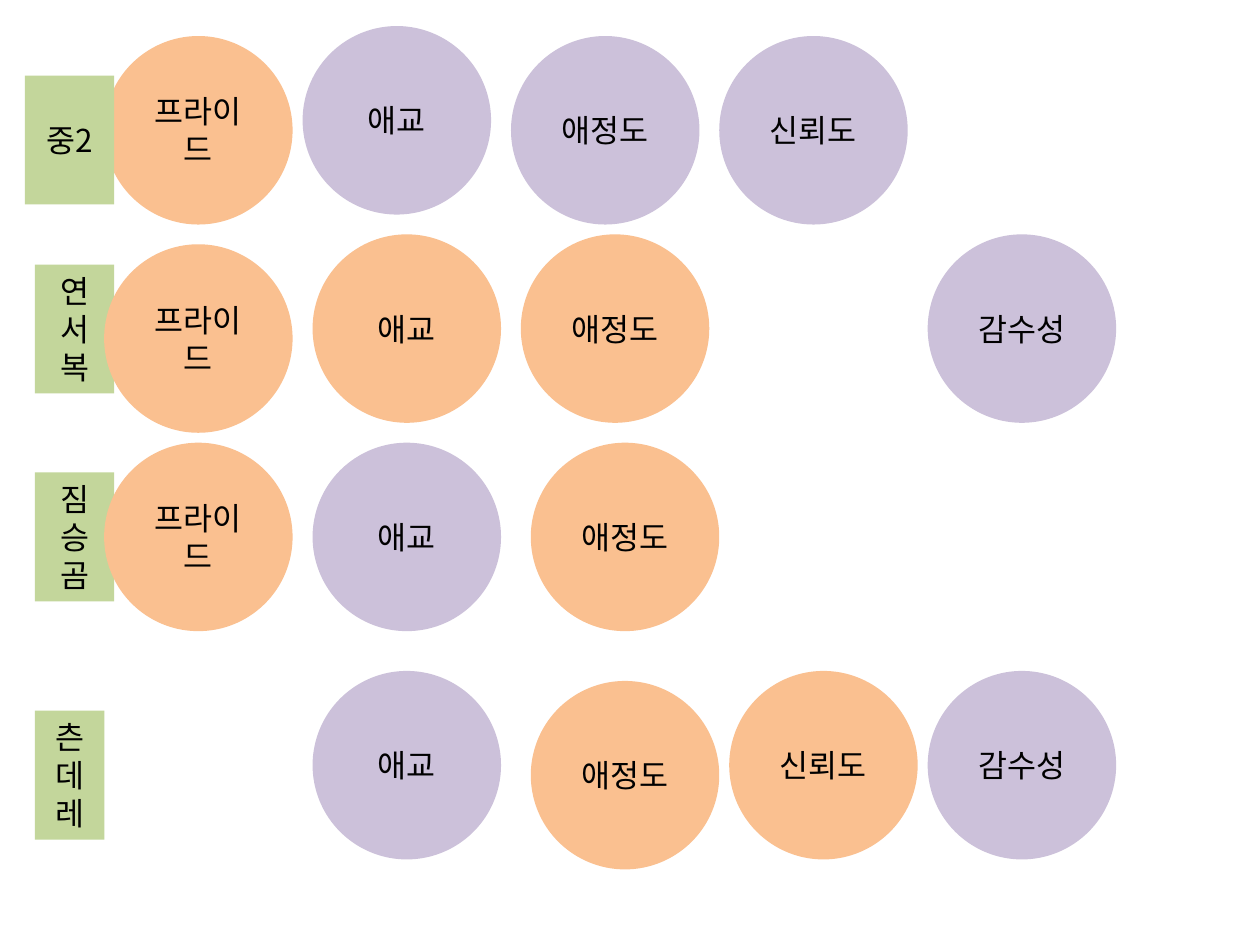
import pptx
import pptx.dml.color
import pptx.enum.shapes
import pptx.enum.text
import pptx.oxml.ns
import pptx.util
import lxml.etree
from dataclasses import dataclass

Pt = pptx.util.Pt
Kind = pptx.enum.shapes.MSO_SHAPE
qn = pptx.oxml.ns.qn


@dataclass
class Theme:
    font: str = "Noto Sans CJK KR"
    size: int = 18
    ink: str = "000000"
    label: str = "C3D69B"
    warm: str = "FAC090"
    cool: str = "CCC1DA"


class Board:
    def __init__(self, slide, theme):
        self.slide = slide
        self.theme = theme

    def shape(self, kind, text, left, top, width, height, fill):
        item = self.slide.shapes.add_shape(
            kind, Pt(left), Pt(top), Pt(width), Pt(height))
        item.shadow.inherit = False
        item.fill.solid()
        item.fill.fore_color.rgb = pptx.dml.color.RGBColor.from_string(fill)
        item.line.fill.background()
        frame = item.text_frame
        frame.word_wrap = True
        frame.vertical_anchor = pptx.enum.text.MSO_ANCHOR.MIDDLE
        para = frame.paragraphs[0]
        para.text = text
        para.alignment = pptx.enum.text.PP_ALIGN.CENTER
        font = para.font
        font.name = self.theme.font
        font.size = Pt(self.theme.size)
        font.color.rgb = pptx.dml.color.RGBColor.from_string(self.theme.ink)
        props = para._p.pPr.find(qn("a:defRPr"))
        lxml.etree.SubElement(props, qn("a:ea"), typeface=self.theme.font)

    def label(self, text, left, top, width):
        self.shape(Kind.RECTANGLE, text, left, top, width, 73.7,
                   self.theme.label)

    def trait(self, text, left, top, fill):
        self.shape(Kind.OVAL, text, left, top, 107.7, 107.7, fill)


theme = Theme()
warm, cool = theme.warm, theme.cool
deck = pptx.Presentation()
deck.slide_width, deck.slide_height = Pt(720), Pt(540)
board = Board(deck.slides.add_slide(deck.slide_layouts[6]), theme)

pride, charm, love, trust, sense = "프라이드", "애교", "애정도", "신뢰도", "감수성"
rows = [
    (("연서복", 19.9, 151.2, 45.4),
     [(pride, 59.5, 139.6, warm), (charm, 178.6, 133.9, warm),
      (love, 297.6, 133.9, warm), (sense, 530.1, 133.9, cool)]),
    (("짐승곰", 19.9, 270, 45.4),
     [(pride, 59.5, 253, warm), (charm, 178.6, 253, cool),
      (love, 303.3, 253, warm)]),
    (("츤데레", 19.9, 406.1, 39.7),
     [(charm, 178.6, 383.4, cool), (love, 303.3, 389.1, warm),
      (trust, 416.7, 383.4, warm), (sense, 530.1, 383.4, cool)]),
]

for text, left, top, fill in [
        (pride, 59.5, 20.6, warm), (charm, 172.9, 14.9, cool),
        (love, 292, 20.6, cool), (trust, 411, 20.6, cool)]:
    board.trait(text, left, top, fill)
board.label("중2", 14.2, 43.2, 51)

for label, traits in rows:
    board.label(*label)
    for trait in traits:
        board.trait(*trait)

deck.save("out.pptx")
